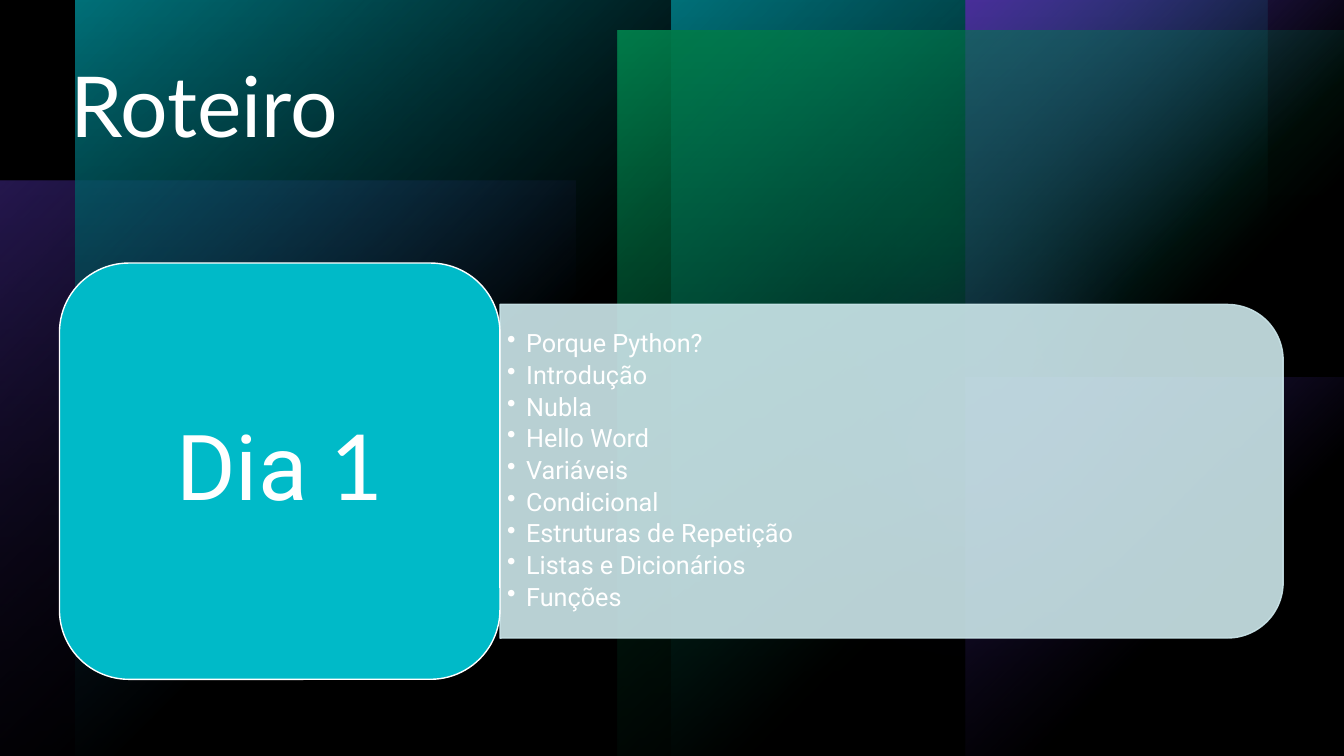
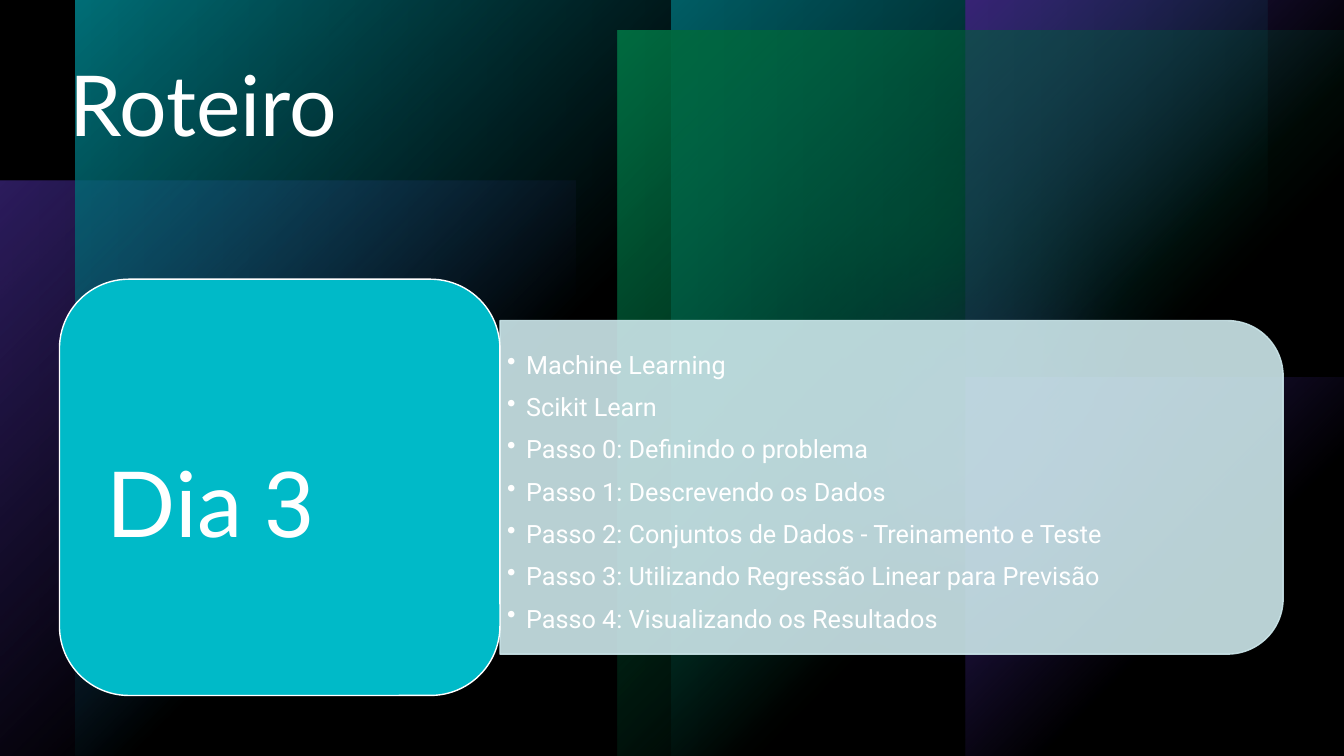
"""Build the two course outline slides for day 1 and day 3."""
from lxml import etree
from pptx import Presentation
from pptx.dml.color import RGBColor
from pptx.enum.shapes import MSO_SHAPE
from pptx.enum.text import MSO_ANCHOR, PP_ALIGN
from pptx.oxml import parse_xml
from pptx.oxml.ns import nsdecls, qn
from pptx.util import Emu, Pt

RECT, OVAL = MSO_SHAPE.RECTANGLE, MSO_SHAPE.OVAL
ROUNDED, ROUNDED_END = MSO_SHAPE.ROUNDED_RECTANGLE, MSO_SHAPE.ROUND_2_SAME_RECTANGLE
TOP, MIDDLE = MSO_ANCHOR.TOP, MSO_ANCHOR.MIDDLE
LEFT, CENTER = PP_ALIGN.LEFT, PP_ALIGN.CENTER

PX = 9144
WIDTH, HEIGHT = 1333, 750
COLORS = {"black": "000000", "white": "FFFFFF", "teal": "00BAC8",
          "violet": "794DFF", "green": "00D17D", "panel": "CCE7EB"}
HEADING, BODY = "Lato", "Roboto"
FADE_END, SOFT_EDGE = 60, 139
CENTER_GLOW = ('<a:path path="circle">'
               '<a:fillToRect l="0" t="0" r="100000" b="100000"/></a:path>')

BACKDROP = [
    (RECT, (0, 179, 571, 571), "violet", 60),
    (OVAL, (698, 0, 472, 472), "green", 96),
    (OVAL, (669, 135, 602, 602), "violet", 60),
    (RECT, (666, 0, 591, 750), "teal", 100),
    (RECT, (75, 0, 591, 750), "teal", 100),
    (RECT, (958, 375, 375, 375), "violet", 100),
    (RECT, (958, 0, 375, 375), "violet", 100),
    (RECT, (613, 30, 721, 721), "green", 100),
]

SLIDES = [
    {"title": "Roteiro", "title_box": (60, 59, 1211, 198),
     "veil": (40, 80, 90), "card_top": 261, "spacing": 0.9, "day_align": CENTER,
     "day": [("Dia ", BODY), ("1", HEADING)],
     "topics": ["Porque Python?", "Introdução", "Nubla", "Hello Word", "Variáveis",
                "Condicional", "Estruturas de Repetição", "Listas e Dicionários",
                "Funções"]},
    {"title": "Roteiro", "title_box": (59, 59, 1214, 106),
     "veil": (40, 60, 0), "card_top": 277, "spacing": 1.25, "day_align": LEFT,
     "day": [("Dia", HEADING), (" 3", BODY)],
     "topics": ["Machine Learning", "Scikit Learn", "Passo 0: Definindo o problema",
                "Passo 1: Descrevendo os Dados",
                "Passo 2: Conjuntos de Dados - Treinamento e Teste",
                "Passo 3: Utilizando Regressão Linear para Previsão",
                "Passo 4: Visualizando os Resultados"]},
]

CARD_LEFT, CARD_WIDTH, CARD_HEIGHT, CARD_PAD = 59, 437, 413, 20
PANEL_WIDTH, PANEL_HEIGHT = 777, 331
TOPICS_WIDTH, TOPICS_HEIGHT, TOPIC_INDENT = 761, 298, 19


def px(value):
    return Emu(round(value * PX))


def rgb(name):
    return RGBColor.from_string(COLORS[name])


def color_xml(name, alpha):
    return (f'<a:srgbClr val="{COLORS[name]}">'
            f'<a:alpha val="{alpha * 1000}"/></a:srgbClr>')


def solid_xml(name, alpha=100):
    return f'<a:solidFill {nsdecls("a")}>{color_xml(name, alpha)}</a:solidFill>'


def gradient_xml(name, stops, direction):
    marks = "".join(f'<a:gs pos="{position * 1000}">{color_xml(name, alpha)}</a:gs>'
                    for position, alpha in stops)
    return f'<a:gradFill {nsdecls("a")}><a:gsLst>{marks}</a:gsLst>{direction}</a:gradFill>'


def add_shape(slide, kind, box, fill, outline=None):
    shape = slide.shapes.add_shape(kind, *map(px, box))
    shape.shadow.inherit = False
    shape._element.spPr.find(qn("a:prstGeom")).addnext(parse_xml(fill))
    if outline:
        shape.line.color.rgb = rgb(outline)
        shape.line.width = Pt(1)
    else:
        shape.line.fill.background()
    return shape


def add_text(slide, box, anchor, insets):
    frame = slide.shapes.add_textbox(*map(px, box)).text_frame
    frame.word_wrap = True
    frame.vertical_anchor = anchor
    frame.margin_left = frame.margin_right = px(insets[0])
    frame.margin_top = frame.margin_bottom = px(insets[1])
    return frame


def style(paragraph, size, spacing, font=None, align=LEFT):
    paragraph.alignment = align
    paragraph.line_spacing = spacing
    paragraph.font.size = Pt(size)
    paragraph.font.color.rgb = rgb("white")
    if font:
        paragraph.font.name = font


def draw_backdrop(slide, veil):
    slide.background.fill.solid()
    slide.background.fill.fore_color.rgb = rgb("black")
    for kind, box, color, alpha in BACKDROP:
        if kind == OVAL:
            glow = add_shape(slide, kind, box, solid_xml(color, alpha))
            effects = glow._element.spPr.find(qn("a:effectLst"))
            etree.SubElement(effects, qn("a:softEdge"), rad=str(px(SOFT_EDGE)))
        else:
            stops = [(0, alpha), (FADE_END, 0)]
            add_shape(slide, kind, box, gradient_xml(color, stops, CENTER_GLOW))
    start, end, angle = veil
    direction = f'<a:lin ang="{angle * 60000}" scaled="0"/>'
    add_shape(slide, RECT, (0, 0, WIDTH, HEIGHT),
              gradient_xml("black", [(0, start), (100, end)], direction))


def draw_title(slide, text, box):
    title = add_text(slide, box, TOP, (10, 5)).paragraphs[0]
    title.text = text
    style(title, 60, 0.9, HEADING)


def draw_topics(slide, topics, middle, spacing):
    left = CARD_LEFT + CARD_WIDTH
    panel_box = (left + (PANEL_WIDTH - PANEL_HEIGHT) / 2, middle - PANEL_WIDTH / 2,
                 PANEL_HEIGHT, PANEL_WIDTH)
    panel = add_shape(slide, ROUNDED_END, panel_box, solid_xml("panel", 90), "panel")
    panel.rotation = 90
    line_color = panel.line._get_or_add_ln().find(".//" + qn("a:srgbClr"))
    etree.SubElement(line_color, qn("a:alpha"), val="90000")
    frame = add_text(slide, (left, middle - TOPICS_HEIGHT / 2, TOPICS_WIDTH, TOPICS_HEIGHT),
                     MIDDLE, (7, 4))
    for index, topic in enumerate(topics):
        item = frame.add_paragraph() if index else frame.paragraphs[0]
        item.text = topic
        style(item, 18, spacing, BODY)
        item.space_after = Pt(3.2)
        properties = item._p.get_or_add_pPr()
        properties.set("marL", str(px(TOPIC_INDENT)))
        properties.set("indent", str(-px(TOPIC_INDENT)))
        bullet = parse_xml(f'<a:buChar {nsdecls("a")} char="•"/>')
        properties.find(qn("a:spcAft")).addnext(bullet)


def draw_day(slide, content):
    top = content["card_top"]
    add_shape(slide, ROUNDED, (CARD_LEFT, top, CARD_WIDTH, CARD_HEIGHT),
              solid_xml("teal"), "white")
    label_box = (CARD_LEFT + CARD_PAD, top + CARD_PAD,
                 CARD_WIDTH - 2 * CARD_PAD, CARD_HEIGHT - 2 * CARD_PAD)
    label = add_text(slide, label_box, MIDDLE, (27, 14)).paragraphs[0]
    style(label, 65, content["spacing"], align=content["day_align"])
    for text, font in content["day"]:
        run = label.add_run()
        run.text = text
        run.font.name = font


def main():
    deck = Presentation()
    deck.slide_width, deck.slide_height = Emu(12192000), px(HEIGHT)
    for content in SLIDES:
        slide = deck.slides.add_slide(deck.slide_layouts[6])
        draw_backdrop(slide, content["veil"])
        draw_title(slide, content["title"], content["title_box"])
        draw_topics(slide, content["topics"], content["card_top"] + CARD_HEIGHT / 2,
                    content["spacing"])
        draw_day(slide, content)
    deck.save("out.pptx")


if __name__ == "__main__":
    main()
